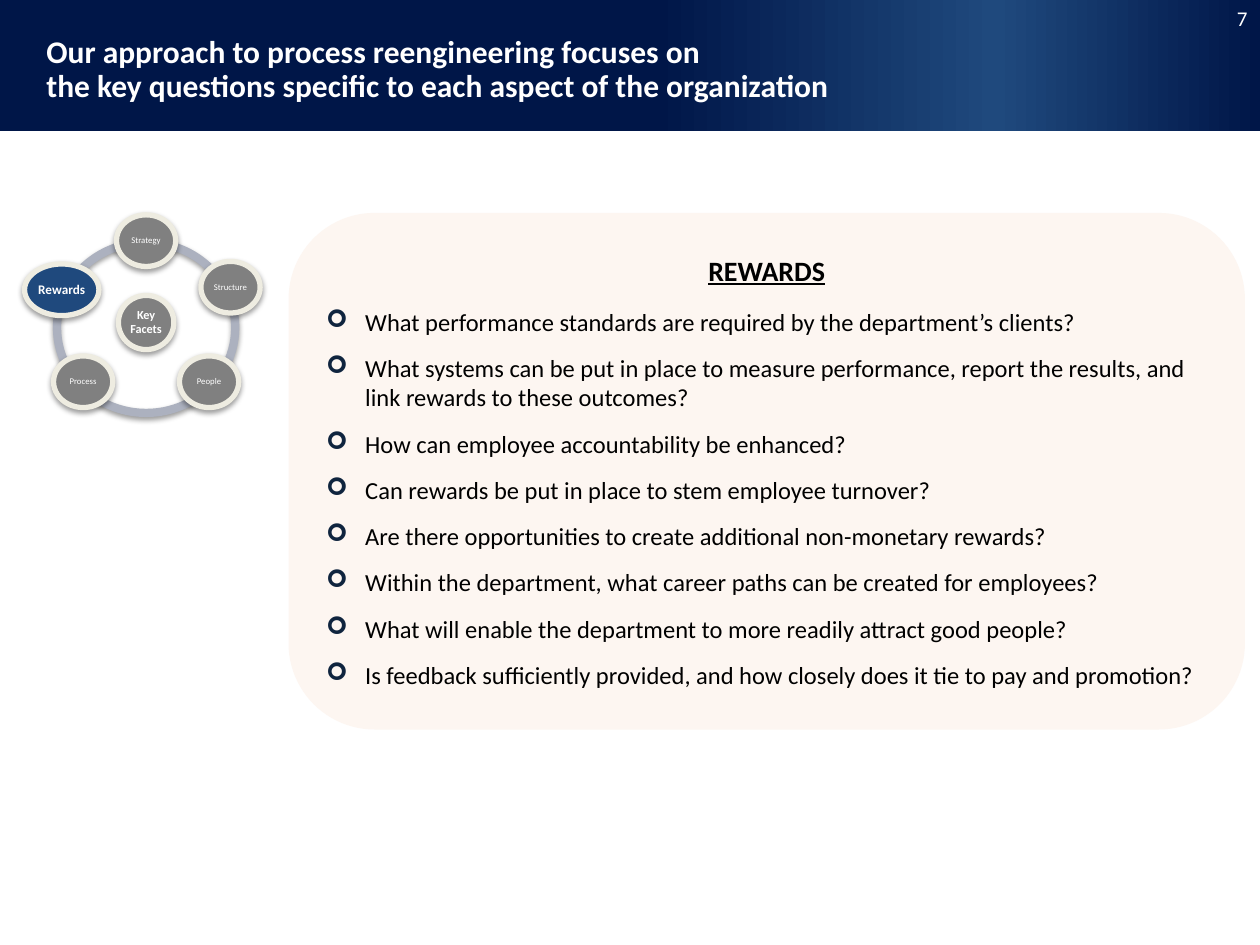
import pptx
import pptx.util
import pptx.oxml
import pptx.dml.color
import pptx.enum.shapes
import pptx.enum.text

Inches = pptx.util.Inches
Pt = pptx.util.Pt
Shape = pptx.enum.shapes.MSO_SHAPE
Align = pptx.enum.text.PP_ALIGN
NS = 'xmlns:a="http://schemas.openxmlformats.org/drawingml/2006/main"'
WHITE, NAVY, BLUE, GRAY = "FFFFFF", "001648", "1F497D", "808080"


def rgb(code):
    return pptx.dml.color.RGBColor.from_string(code)


def style(para, size, color, bold=False):
    """Format every run of a paragraph."""
    for run in para.runs:
        run.font.name = "Calibri"
        run.font.size = Pt(size)
        run.font.bold = bold
        run.font.color.rgb = rgb(color)


deck = pptx.Presentation()
deck.slide_width, deck.slide_height = Inches(10), Inches(7.5)
slide = deck.slides.add_slide(deck.slide_layouts[6])
shapes = slide.shapes

# Header band with a four-stop gradient
band = shapes.add_shape(Shape.RECTANGLE, 0, 0, Inches(10), Inches(1.04))
band.shadow.inherit = False
band.line.fill.background()
stops = "".join(
    f'<a:gs pos="{pos * 1000}"><a:srgbClr val="{code}"/></a:gs>'
    for pos, code in [(0, NAVY), (52, NAVY), (79, BLUE), (100, NAVY)])
grad = pptx.oxml.parse_xml(
    f'<a:gradFill {NS} rotWithShape="1"><a:gsLst>{stops}</a:gsLst>'
    '<a:lin ang="0" scaled="0"/></a:gradFill>')
band._element.spPr.find(pptx.oxml.ns.qn("a:prstGeom")).addnext(grad)

# Page number and title
heads = [
    (9.6, 0.01, 0.4, 0.3, "7", 12, False, Align.RIGHT),
    (0.27, 0.21, 9.46, 0.69,
     "Our approach to process reengineering focuses on \v"
     "the key questions specific to each aspect of the organization",
     18, True, Align.LEFT),
]
for left, top, width, height, text, size, bold, align in heads:
    box = shapes.add_textbox(Inches(left), Inches(top), Inches(width), Inches(height))
    frame = box.text_frame
    frame.word_wrap = True
    frame.vertical_anchor = pptx.enum.text.MSO_ANCHOR.MIDDLE
    para = frame.paragraphs[0]
    para.text = text
    para.alignment = align
    para.line_spacing = 0.9
    style(para, size, WHITE, bold)

# Ring of five equal arcs, starting at the top
wheel = []
for step in range(5):
    arc = shapes.add_shape(Shape.BLOCK_ARC, Inches(0.42), Inches(1.89),
                           Inches(1.48), Inches(1.42))
    start = (270 + 72 * step) % 360
    # Angles are stored in 60000ths of a degree, adjustments in 100000ths
    arc.adjustments[0] = start * 0.6
    arc.adjustments[1] = (start + 72) % 360 * 0.6
    arc.adjustments[2] = 0.046
    arc.fill.solid()
    arc.fill.fore_color.rgb = rgb("ACB1BF")
    arc.line.fill.background()
    wheel.append(arc)

# Facets: centre x, centre y, width, height, label, size, bold, fill
facets = [
    (1.16, 2.56, 0.44, 0.43, "Key Facets", 7, True, GRAY),
    (1.16, 1.91, 0.47, 0.41, "Strategy", 5, False, GRAY),
    (1.83, 2.28, 0.47, 0.41, "Structure", 5, False, GRAY),
    (1.66, 3.03, 0.47, 0.41, "People", 5, False, GRAY),
    (0.66, 3.03, 0.47, 0.41, "Process", 5, False, GRAY),
    (0.49, 2.3, 0.59, 0.41, "Rewards", 7.5, True, BLUE),
]
for x, y, width, height, text, size, bold, fill in facets:
    oval = shapes.add_shape(Shape.OVAL, Inches(x - width / 2), Inches(y - height / 2),
                            Inches(width), Inches(height))
    oval.fill.solid()
    oval.fill.fore_color.rgb = rgb(fill)
    oval.line.color.rgb = rgb("EEECE1")
    oval.line.width = Pt(3)
    frame = oval.text_frame
    frame.word_wrap = True
    frame.margin_left = frame.margin_right = Inches(0.01)
    frame.margin_top = frame.margin_bottom = Inches(0.01)
    frame.vertical_anchor = pptx.enum.text.MSO_ANCHOR.MIDDLE
    para = frame.paragraphs[0]
    para.text = text
    para.alignment = Align.CENTER
    para.line_spacing = 0.9
    style(para, size, WHITE, bold)
    wheel.append(oval)

for part in wheel:
    part.shadow.inherit = False
    glow = part._element.spPr.find(pptx.oxml.ns.qn("a:effectLst"))
    glow.append(pptx.oxml.parse_xml(
        f'<a:outerShdw {NS} blurRad="{Pt(3.1)}" dist="{Pt(1.6)}" dir="5400000" '
        'rotWithShape="0"><a:srgbClr val="000000"><a:alpha val="38000"/>'
        '</a:srgbClr></a:outerShdw>'))

# Question panel
panel = shapes.add_shape(Shape.ROUNDED_RECTANGLE, Inches(2.29), Inches(1.69),
                         Inches(7.59), Inches(4.1))
panel.shadow.inherit = False
panel.fill.solid()
panel.fill.fore_color.rgb = rgb("FDF6F1")
panel.line.fill.background()
frame = panel.text_frame
frame.word_wrap = True
frame.vertical_anchor = pptx.enum.text.MSO_ANCHOR.MIDDLE
para = frame.paragraphs[0]
para.text = "REWARDS"
para.alignment = Align.CENTER
para.space_after = Pt(11.5)
style(para, 16, "000000", True)
para.runs[0].font.underline = True

asks = [
    "What performance standards are required by the department’s clients?",
    "What systems can be put in place to measure performance, report the results, "
    "and link rewards to these outcomes?",
    "How can employee accountability be enhanced?",
    "Can rewards be put in place to stem employee turnover?",
    "Are there opportunities to create additional non-monetary rewards?",
    "Within the department, what career paths can be created for employees?",
    "What will enable the department to more readily attract good people?",
    "Is feedback sufficiently provided, and how closely does it tie to pay and promotion?",
]
for ask in asks:
    para = frame.add_paragraph()
    para.text = ask
    para.alignment = Align.LEFT
    para.space_after = Pt(9.6)
    style(para, 14, "000000")
    props = para._p.get_or_add_pPr()
    props.set("marL", str(Inches(0.31)))
    props.set("indent", str(Inches(-0.31)))
    for mark in ('<a:buClr {}><a:srgbClr val="0F243E"/></a:buClr>',
                 '<a:buFont {} typeface="Wingdings"/>',
                 '<a:buChar {} char="➢"/>'):
        props.append(pptx.oxml.parse_xml(mark.format(NS)))

deck.save("out.pptx")
